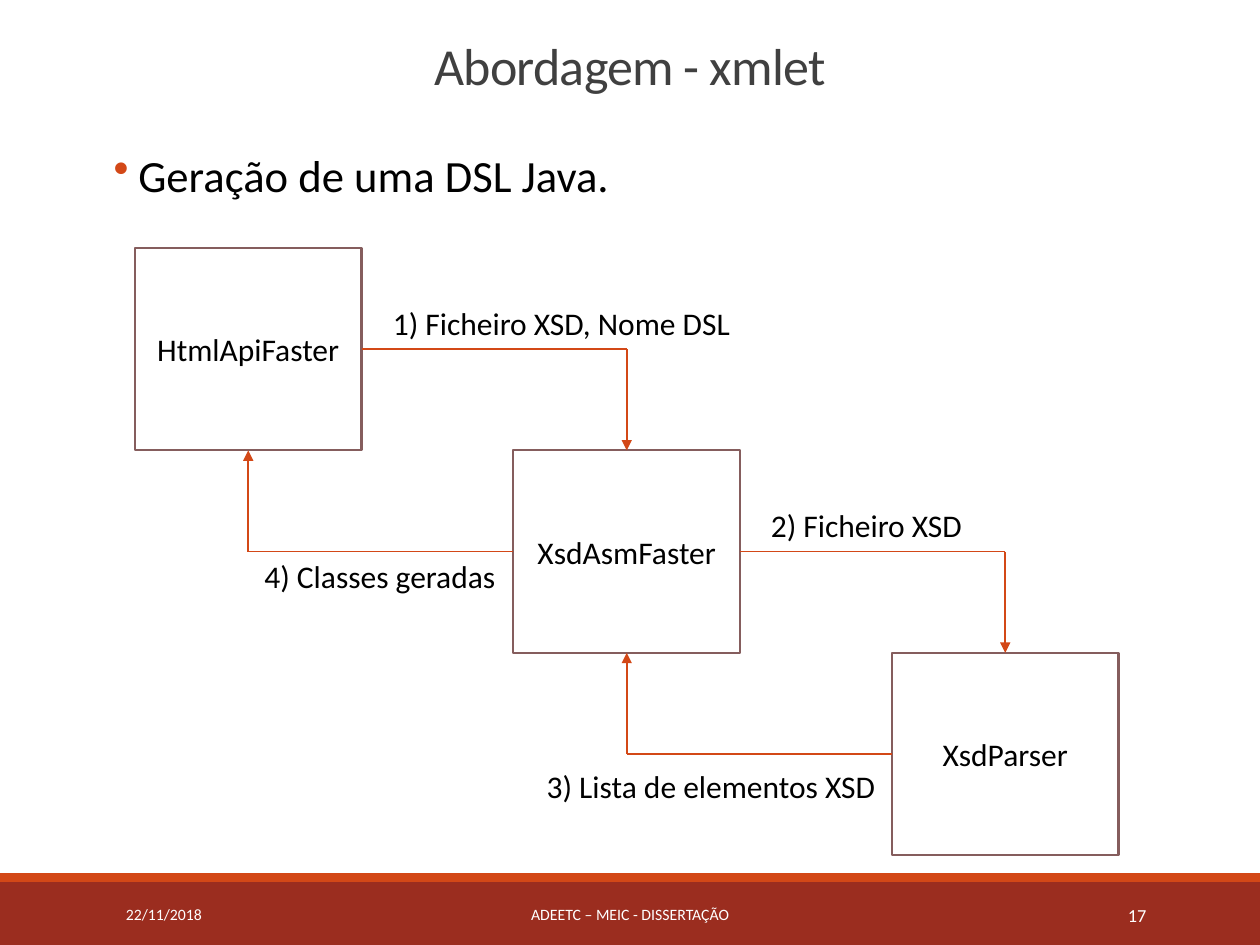
from lxml import etree
from pptx import Presentation
from pptx.dml.color import RGBColor
from pptx.enum import shapes, text
from pptx.oxml import ns
from pptx.util import Cm, Pt

ALIGN = text.PP_ALIGN
ANCHOR = text.MSO_ANCHOR
ORANGE = "D34817"

presentation = Presentation()
presentation.slide_width = Cm(25.4)
presentation.slide_height = Cm(19.05)
slide = presentation.slides.add_slide(presentation.slide_layouts[6])


def color(value):
    return RGBColor.from_string(value)


def add_text(content, left, top, width, height, size=18, ink="000000", align=ALIGN.LEFT,
             anchor=ANCHOR.TOP, wrap=True, fill=None, line=None):
    if fill:
        shape = slide.shapes.add_shape(shapes.MSO_SHAPE.RECTANGLE, Cm(left), Cm(top), Cm(width), Cm(height))
        shape.shadow.inherit = False
        shape.fill.solid()
        shape.fill.fore_color.rgb = color(fill)
        if line:
            shape.line.color.rgb = color(line)
            shape.line.width = Pt(1.25)
        else:
            shape.line.fill.background()
    else:
        shape = slide.shapes.add_textbox(Cm(left), Cm(top), Cm(width), Cm(height))
    frame = shape.text_frame
    frame.word_wrap = wrap
    frame.vertical_anchor = anchor
    if content:
        paragraph = frame.paragraphs[0]
        paragraph.alignment = align
        run = paragraph.add_run()
        run.text = content
        run.font.name = "Calibri"
        run.font.size = Pt(size)
        run.font.color.rgb = color(ink)
    return shape


add_text("", 0, 17.78, 25.4, 1.27, fill="9B2D1F")
add_text("", 0, 17.6, 25.4, 0.18, fill=ORANGE)

for content, left, width, size, align in [
    ("22/11/2018", 2.29, 5.16, 9, ALIGN.LEFT),
    ("ADEETC – MEIC - DISSERTAÇÃO", 7.67, 10.06, 9, ALIGN.CENTER),
    ("17", 20.62, 2.74, 10.5, ALIGN.RIGHT),
]:
    add_text(content, left, 17.93, width, 1.02, size=size, ink="FFFFFF", align=align, anchor=ANCHOR.MIDDLE)

title = add_text("Abordagem - xmlet", 0, 0.97, 25.4, 1.02, size=29.7, ink="404040",
                 align=ALIGN.CENTER, anchor=ANCHOR.BOTTOM)
title.text_frame.margin_top = title.text_frame.margin_bottom = Cm(0.1)
title_paragraph = title.text_frame.paragraphs[0]
title_paragraph.line_spacing = 0.65
title_paragraph.runs[0].font._element.set("spc", "-50")

bullet = add_text("Geração de uma DSL Java.", 2.29, 2.74, 21.08, 1.5, size=25.5, align=ALIGN.JUSTIFY)
bullet.text_frame.margin_left = bullet.text_frame.margin_right = 0
bullet_paragraph = bullet.text_frame.paragraphs[0]
bullet_paragraph.line_spacing = 1.1
bullet_paragraph.space_before = Pt(12)
bullet_paragraph.space_after = Pt(2)
properties = bullet_paragraph._p.get_or_add_pPr()
properties.set("marL", str(Cm(0.5)))
properties.set("indent", str(-Cm(0.5)))
bullet_color = etree.SubElement(properties, ns.qn("a:buClr"))
etree.SubElement(bullet_color, ns.qn("a:srgbClr"), val=ORANGE)
etree.SubElement(properties, ns.qn("a:buChar"), char="•")

BOX_WIDTH, BOX_HEIGHT = 4.57, 4.08
FIRST_LEFT, FIRST_TOP, STEP = 2.72, 5, 7.63
boxes = []
for index, name in enumerate(["HtmlApiFaster", "XsdAsmFaster", "XsdParser"]):
    left, top = FIRST_LEFT + index * STEP, FIRST_TOP + index * BOX_HEIGHT
    boxes.append((left, top))
    add_text(name, left, top, BOX_WIDTH, BOX_HEIGHT, align=ALIGN.CENTER, anchor=ANCHOR.MIDDLE,
             fill="FFFFFF", line="855D5D")

for (left, top), (next_left, next_top) in zip(boxes, boxes[1:]):
    middle, next_middle = left + BOX_WIDTH / 2, next_left + BOX_WIDTH / 2
    side, next_side = top + BOX_HEIGHT / 2, next_top + BOX_HEIGHT / 2
    forward = [(left + BOX_WIDTH, side), (next_middle, side), (next_middle, next_top)]
    backward = [(next_left, next_side), (middle, next_side), (middle, top + BOX_HEIGHT)]
    for start, corner, end in (forward, backward):
        for begin, finish in ((start, corner), (corner, end)):
            connector = slide.shapes.add_connector(
                shapes.MSO_CONNECTOR.STRAIGHT, *[Cm(value) for value in begin + finish])
            connector.line.color.rgb = color(ORANGE)
            connector.line.width = Pt(1)
            if finish == end:
                etree.SubElement(connector.line._get_or_add_ln(), ns.qn("a:tailEnd"), type="triangle")
            etree.SubElement(connector._element.spPr, ns.qn("a:effectLst"))

for content, left, top, width in [
    ("1) Ficheiro XSD, Nome DSL", 7.67, 6, 7.39),
    ("2) Ficheiro XSD", 15.29, 10.08, 4.42),
    ("3) Lista de elementos XSD", 10.77, 15.34, 7.21),
    ("4) Classes geradas", 5.08, 11.1, 5.23),
]:
    add_text(content, left, top, width, 1.02, wrap=False)

presentation.save("out.pptx")
